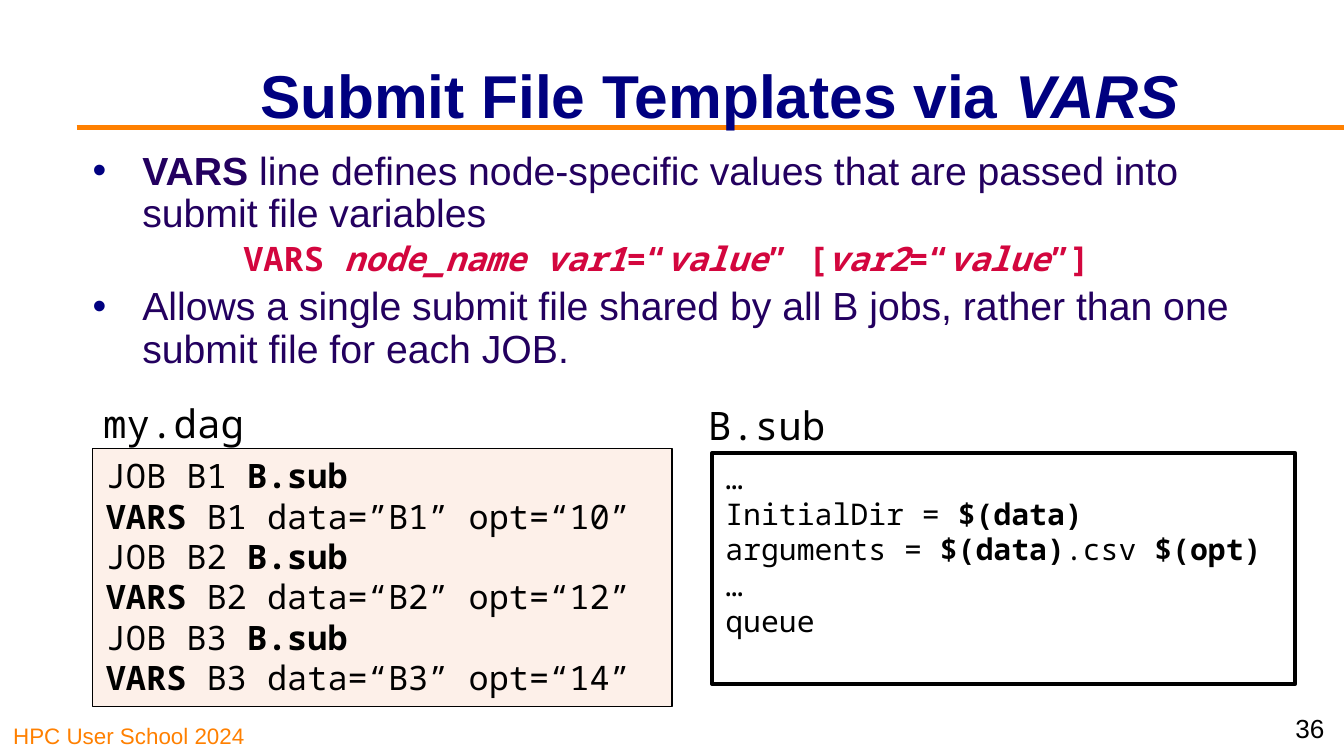
from dataclasses import dataclass

from lxml.etree import SubElement
from pptx import Presentation
from pptx.dml.color import RGBColor
from pptx.enum.shapes import MSO_CONNECTOR, MSO_SHAPE
from pptx.enum.text import MSO_ANCHOR, PP_ALIGN
from pptx.oxml.ns import qn
from pptx.util import Cm, Pt


@dataclass(frozen=True)
class Theme:
    sans: str = "Arial"
    mono: str = "Noto Sans Mono"
    navy: str = "000080"
    orange: str = "FF8000"
    purple: str = "23005F"
    red: str = "D3063E"
    black: str = "000000"
    white: str = "FFFFFF"
    peach: str = "FDF0E9"
    title: float = 32.4
    body: float = 21
    code: float = 18
    small: float = 16
    number: float = 14
    foot: float = 12


@dataclass(frozen=True)
class Box:
    left: float
    top: float
    width: float
    height: float

    def lengths(self) -> tuple:
        return Cm(self.left), Cm(self.top), Cm(self.width), Cm(self.height)


@dataclass(frozen=True)
class Listing:
    name: str
    label: Box
    frame: Box
    fill: str
    line: float
    size: float
    code: tuple[str, ...]


THEME = Theme()
LISTINGS = (
    Listing("B.sub", Box(13.13, 7.47, 2.77, 1.14), Box(13.46, 8.56, 11.02, 4.37),
            THEME.white, 2, THEME.small,
            ("…", "InitialDir = *$(data)*", "arguments = *$(data)*.csv *$(opt)*",
             "…", "queue")),
    Listing("my.dag", Box(1.7, 7.42, 3.2, 1.14), Box(1.75, 8.48, 10.95, 4.88),
            THEME.peach, 0.75, THEME.code,
            ("JOB B1 *B.sub*", "*VARS* B1 data=”B1” opt=“10”",
             "JOB B2 *B.sub*", "*VARS* B2 data=“B2” opt=“12”",
             "JOB B3 *B.sub*", "*VARS* B3 data=“B3” opt=“14”")),
)


def write(frame, text: str, *, size: float, color: str, font: str = THEME.sans,
          bold: bool = False, align=PP_ALIGN.LEFT, space: float = 0,
          pitch: float = 1.0, bullet: bool = False) -> None:
    """Add a paragraph; *marks* turn plain text bold and bold text italic."""
    para = frame.paragraphs[0]
    if para.runs:
        para = frame.add_paragraph()
    para.alignment = align
    para.line_spacing = pitch
    para.space_before = Pt(space)
    if bullet:
        add_bullet(para)
    for index, part in enumerate(text.split("*")):
        if not part:
            continue
        marked = index % 2 == 1
        run = para.add_run()
        run.text = part
        run.font.name = font
        run.font.size = Pt(size)
        run.font.bold = bold or marked
        run.font.italic = bold and marked
        run.font.color.rgb = RGBColor.from_string(color)


def add_bullet(para) -> None:
    props = para._p.get_or_add_pPr()
    props.set("marL", str(Cm(0.94)))
    props.set("indent", str(Cm(-0.94)))
    tint = SubElement(props, qn("a:buClr"))
    SubElement(tint, qn("a:srgbClr"), val=THEME.navy)
    SubElement(props, qn("a:buFont"), typeface=THEME.sans)
    SubElement(props, qn("a:buChar"), char="•")


def add_text(slide, box: Box, anchor=MSO_ANCHOR.TOP, wrap: bool = True):
    frame = slide.shapes.add_textbox(*box.lengths()).text_frame
    frame.word_wrap = wrap
    frame.vertical_anchor = anchor
    return frame


def add_rule(slide) -> None:
    rule = slide.shapes.add_connector(
        MSO_CONNECTOR.STRAIGHT, Cm(1.45), Cm(2.41), Cm(25.4), Cm(2.41))
    rule.line.color.rgb = RGBColor.from_string(THEME.orange)
    rule.line.width = Pt(3)
    SubElement(rule._element.spPr, qn("a:effectLst"))


def add_listing(slide, item: Listing) -> None:
    label = add_text(slide, item.label, wrap=False)
    write(label, item.name, size=THEME.body, color=THEME.black, font=THEME.mono)
    panel = slide.shapes.add_shape(MSO_SHAPE.RECTANGLE, *item.frame.lengths())
    panel.shadow.inherit = False
    panel.fill.solid()
    panel.fill.fore_color.rgb = RGBColor.from_string(item.fill)
    panel.line.color.rgb = RGBColor.from_string(THEME.black)
    panel.line.width = Pt(item.line)
    frame = panel.text_frame
    frame.word_wrap = True
    frame.vertical_anchor = MSO_ANCHOR.TOP
    for row in item.code:
        write(frame, row, size=item.size, color=THEME.black, font=THEME.mono)


def main() -> None:
    deck = Presentation()
    deck.slide_width, deck.slide_height = Cm(25.4), Cm(14.29)
    slide = deck.slides.add_slide(deck.slide_layouts[6])

    foot = add_text(slide, Box(0, 13.49, 6.3, 0.79), MSO_ANCHOR.BOTTOM)
    write(foot, "HPC User School 2024", size=THEME.foot, color=THEME.orange)
    add_rule(slide)

    title = add_text(slide, Box(3.89, 0.58, 19.41, 2.39), MSO_ANCHOR.MIDDLE)
    write(title, "Submit File Templates via *VARS*", size=THEME.title,
          color=THEME.navy, bold=True, align=PP_ALIGN.CENTER)

    body = add_text(slide, Box(1.5, 2.74, 22.2, 4.67))
    write(body, "*VARS* line defines node-specific values that are passed into "
          "submit file variables", size=THEME.body, color=THEME.purple,
          pitch=0.9, bullet=True)
    write(body, "VARS *node_name var1*=“*value*” [*var2*=“*value*”]",
          size=THEME.code, color=THEME.red, font=THEME.mono, bold=True,
          align=PP_ALIGN.CENTER, space=3.6, pitch=0.9)
    write(body, "Allows a single submit file shared by all B jobs, rather than "
          "one submit file for each JOB.", size=THEME.body, color=THEME.purple,
          space=4.2, pitch=0.9, bullet=True)

    for item in LISTINGS:
        add_listing(slide, item)

    number = add_text(slide, Box(24.23, 13.34, 1.17, 0.95))
    write(number, "36", size=THEME.number, color=THEME.black)
    deck.save("out.pptx")


if __name__ == "__main__":
    main()
